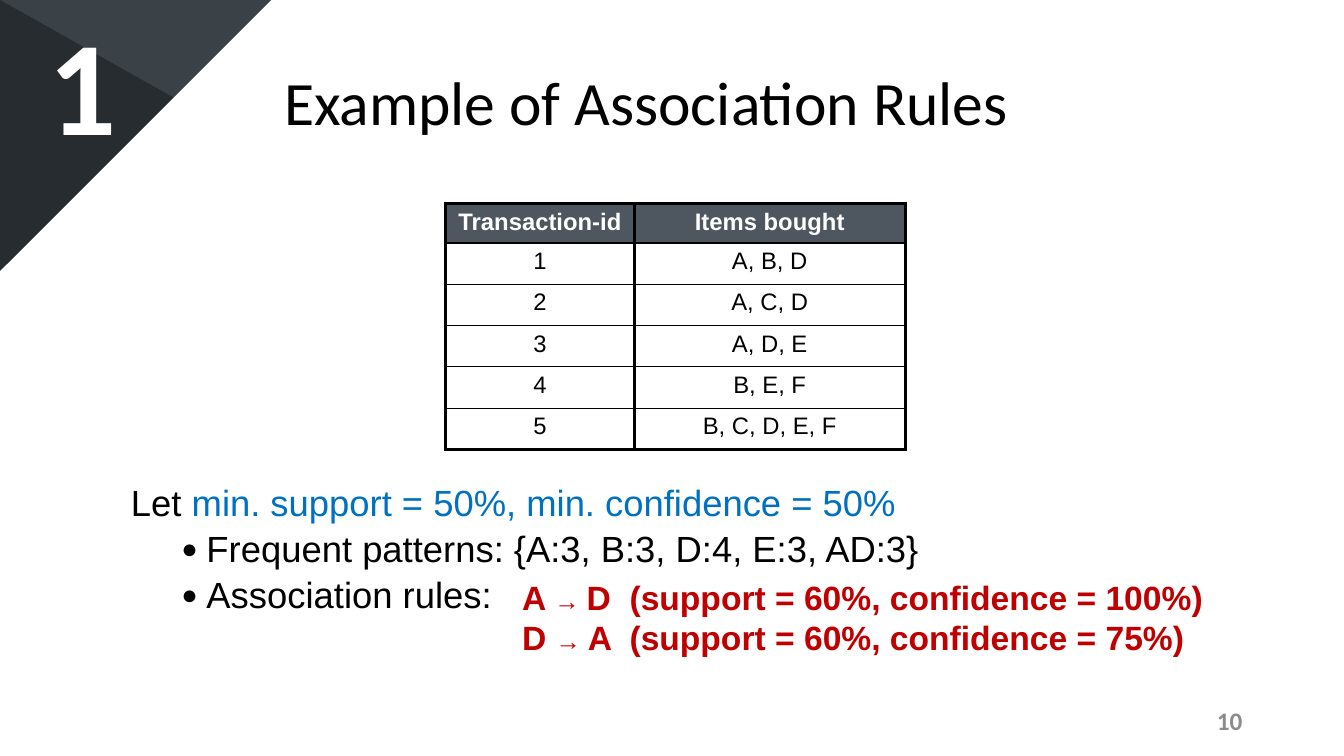
from lxml.etree import SubElement
from pptx import Presentation
from pptx.dml.color import RGBColor
from pptx.enum.shapes import MSO_SHAPE as SHAPE
from pptx.enum.text import MSO_ANCHOR as ANCHOR, PP_ALIGN as ALIGN
from pptx.oxml.ns import qn
from pptx.util import Inches, Pt

WIDTH, HEIGHT = 13.33, 7.5
BLACK, WHITE, BLUE, RED = "000000", "FFFFFF", "0070C0", "C00000"
DARK, STONE, SLATE, GREY = "272C30", "3A4147", "4E575F", "8C8C8C"

TRANSACTIONS = [
    ("Transaction-id", "Items bought"),
    ("1", "A, B, D"),
    ("2", "A, C, D"),
    ("3", "A, D, E"),
    ("4", "B, E, F"),
    ("5", "B, C, D, E, F"),
]
COLUMN_WIDTHS = [1.87, 2.69]
HEADER_HEIGHT, ROW_HEIGHT = 0.39, 0.41
THRESHOLDS = [("Let ", BLACK), ("min. support = 50%, min. confidence = 50%", BLUE)]
FINDINGS = ["Frequent patterns: {A:3, B:3, D:4, E:3, AD:3}", "Association rules:"]
RULES = [
    ("A ", "D  (support = 60%, confidence = 100%)"),
    ("D ", "A  (support = 60%, confidence = 75%)"),
]
LABELS = [
    ("1", (0.17, 0.14, 1.29, 1.62), 96, WHITE, True, ALIGN.CENTER, ANCHOR.TOP, 0.9),
    ("10", (9.42, 6.95, 3, 0.4), 18, GREY, True, ALIGN.RIGHT, ANCHOR.MIDDLE, 1.0),
    ("Example of Association Rules", (2.72, 0.67, 11, 1.59), 44, BLACK, False,
     ALIGN.LEFT, ANCHOR.TOP, 0.9),
]
FACET = [(9.68, 0), (2.98, 0), (0, HEIGHT)]


def rgb(value):
    return RGBColor.from_string(value)


def paint(sp, color, opacity=100):
    sp.fill.solid()
    sp.fill.fore_color.rgb = rgb(color)
    sp.line.fill.background()
    sp.shadow.inherit = False
    if opacity < 100:
        clr = sp._element.spPr.find(qn("a:solidFill"))[0]
        SubElement(clr, qn("a:alpha")).set("val", str(opacity * 1000))


def add_run(p, text, size, color, bold=False, font="Arial"):
    r = p.add_run()
    r.text = text
    r.font.name, r.font.size, r.font.bold = font, Pt(size), bold
    r.font.color.rgb = rgb(color)


def add_box(s, box, anchor=ANCHOR.TOP):
    tf = s.shapes.add_textbox(*map(Inches, box)).text_frame
    tf.word_wrap = True
    tf.vertical_anchor = anchor
    return tf


def indent(p, level, left, hanging=0):
    p.level = level
    pPr = p._p.get_or_add_pPr()
    pPr.set("marL", str(Inches(left)))
    pPr.set("indent", str(Inches(-hanging)))
    return pPr


def add_bullet(p):
    pPr = indent(p, 1, 0.75, 0.25)
    SubElement(pPr, qn("a:buSzPct")).set("val", "75000")
    SubElement(pPr, qn("a:buFont")).set("typeface", "Arial")
    SubElement(pPr, qn("a:buChar")).set("char", "●")


def set_borders(cell, top, bottom):
    tcPr = cell._tc.get_or_add_tcPr()
    widths = [("L", 2.25), ("R", 2.25), ("T", top), ("B", bottom)]
    for i, (side, width) in enumerate(widths):
        ln = tcPr.makeelement(qn(f"a:ln{side}"), {"w": str(Pt(width))})
        fill = SubElement(ln, qn("a:solidFill"))
        SubElement(fill, qn("a:srgbClr")).set("val", BLACK)
        tcPr.insert(i, ln)


def add_layer(s, kind, adjustment, color, opacity=100, turned=False, flipped=False):
    w, h = (HEIGHT, WIDTH) if turned else (WIDTH, HEIGHT)
    box = ((WIDTH - w) / 2, (HEIGHT - h) / 2, w, h)
    sp = s.shapes.add_shape(kind, *map(Inches, box))
    sp.adjustments[0] = adjustment
    if turned:
        sp.rotation = 270
    if flipped:
        sp._element.spPr.find(qn("a:xfrm")).set("flipH", "1")
    paint(sp, color, opacity)


def add_corner(s):
    add_layer(s, SHAPE.ISOSCELES_TRIANGLE, 0, DARK)
    add_layer(s, SHAPE.PARALLELOGRAM, 0.54, DARK, 50, turned=True, flipped=True)
    points = [(Inches(x), Inches(y)) for x, y in FACET]
    builder = s.shapes.build_freeform(*points[0])
    builder.add_line_segments(points[1:], close=True)
    paint(builder.convert_to_shape(), SLATE, 50)
    add_layer(s, SHAPE.SNIP_1_RECTANGLE, 0.359, WHITE, flipped=True)


def add_transactions(s):
    rows = len(TRANSACTIONS)
    height = HEADER_HEIGHT + ROW_HEIGHT * (rows - 1)
    table = s.shapes.add_table(rows, 2, Inches(4.42), Inches(2.02),
                               Inches(sum(COLUMN_WIDTHS)), Inches(height)).table
    for column, width in zip(table.columns, COLUMN_WIDTHS):
        column.width = Inches(width)
    for i, values in enumerate(TRANSACTIONS):
        header = i == 0
        table.rows[i].height = Inches(HEADER_HEIGHT if header else ROW_HEIGHT)
        for j, value in enumerate(values):
            cell = table.cell(i, j)
            if header:
                cell.fill.solid()
                cell.fill.fore_color.rgb = rgb(SLATE)
            else:
                cell.fill.background()
            p = cell.text_frame.paragraphs[0]
            p.alignment = ALIGN.CENTER
            add_run(p, value, 17, WHITE if header else BLACK, header)
            set_borders(cell, 2.25 if i < 2 else 1, 2.25 if i in (0, rows - 1) else 1)


def add_findings(s):
    tf = add_box(s, (1.2, 4.76, 11, 1.66))
    p = tf.paragraphs[0]
    p.line_spacing, p.space_before = 0.9, Pt(10)
    for text, color in THRESHOLDS:
        add_run(p, text, 26, color)
    for text in FINDINGS:
        p = tf.add_paragraph()
        p.line_spacing, p.space_before = 0.9, Pt(5)
        add_bullet(p)
        add_run(p, text, 26, BLACK)


def add_rules(s):
    tf = add_box(s, (4.08, 5.67, 8.02, 1.31))
    for i, (left, right) in enumerate(RULES):
        p = tf.add_paragraph() if i else tf.paragraphs[0]
        indent(p, 2, 1)
        add_run(p, left, 24, RED, True)
        add_run(p, "→ ", 18, RED)
        add_run(p, right, 24, RED, True)


def main():
    prs = Presentation()
    prs.slide_width, prs.slide_height = Inches(WIDTH), Inches(HEIGHT)
    s = prs.slides.add_slide(prs.slide_layouts[6])
    s.background.fill.solid()
    s.background.fill.fore_color.rgb = rgb(STONE)
    add_corner(s)
    for text, box, size, color, bold, align, anchor, spacing in LABELS:
        p = add_box(s, box, anchor).paragraphs[0]
        p.alignment, p.line_spacing = align, spacing
        add_run(p, text, size, color, bold, "Calibri")
    add_findings(s)
    add_transactions(s)
    add_rules(s)
    prs.save("out.pptx")


if __name__ == "__main__":
    main()
